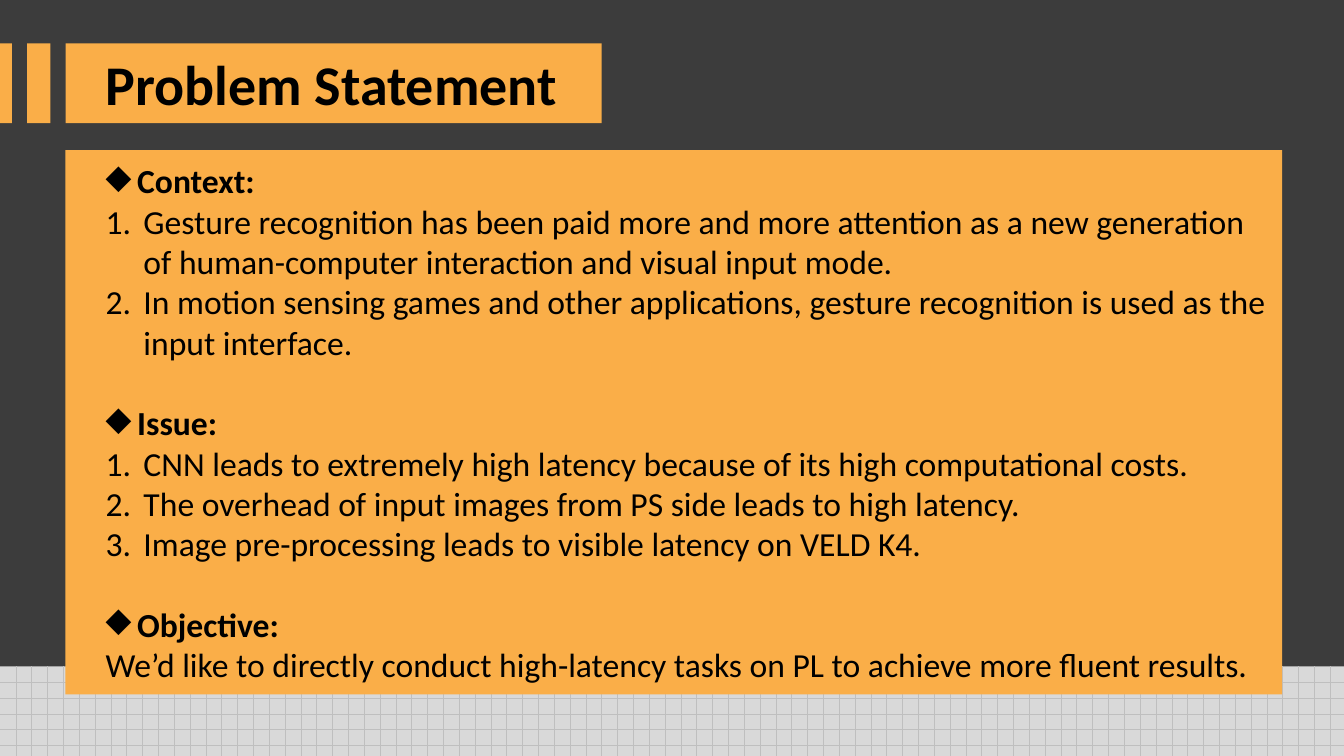
import pptx
import pptx.dml.color
import pptx.enum.dml
import pptx.enum.shapes
import pptx.enum.text
import pptx.oxml.ns
import pptx.util
from lxml import etree

Pt = pptx.util.Pt
RGBColor = pptx.dml.color.RGBColor

CHARCOAL = RGBColor(0x3C, 0x3C, 0x3C)
AMBER = RGBColor(0xFA, 0xAE, 0x48)
BLACK = RGBColor(0x00, 0x00, 0x00)
GRID_LINE = RGBColor(0xBF, 0xBF, 0xBF)
GRID_BASE = RGBColor(0xD9, 0xD9, 0xD9)

FONT = "Calibri"
BODY_SIZE = 24
SECTION_GAP = 28.8
HEADING_INDENT = 22.5
ITEM_INDENT = 27

SECTIONS = [
    ("Context:", True, [
        "Gesture recognition has been paid more and more attention as a new generation "
        "of human-computer interaction and visual input mode.",
        "In motion sensing games and other applications, gesture recognition is used as "
        "the input interface.",
    ]),
    ("Issue:", True, [
        "CNN leads to extremely high latency because of its high computational costs.",
        "The overhead of input images from PS side leads to high latency.",
        "Image pre-processing leads to visible latency on VELD K4.",
    ]),
    ("Objective:", False, [
        "We’d like to directly conduct high-latency tasks on PL to achieve more fluent results.",
    ]),
]


def add_panel(page, left, top, width, height):
    panel = page.shapes.add_shape(
        pptx.enum.shapes.MSO_SHAPE.RECTANGLE, Pt(left), Pt(top), Pt(width), Pt(height))
    panel.shadow.inherit = False
    panel.fill.solid()
    panel.fill.fore_color.rgb = AMBER
    panel.line.fill.background()
    return panel


def add_span(para, text, size, bold):
    span = para.add_run()
    span.text = text
    span.font.name = FONT
    span.font.size = Pt(size)
    span.font.bold = bold
    span.font.color.rgb = BLACK


def set_bullet(para, indent, tag, **attributes):
    properties = para._p.get_or_add_pPr()
    properties.set("marL", str(Pt(indent)))
    properties.set("indent", str(-Pt(indent)))
    etree.SubElement(properties, pptx.oxml.ns.qn(tag), **attributes)


def add_title_band(page, left, top, width, height):
    gap = 10.8
    stripe_width = 16.6
    stripe_left = left - gap - stripe_width
    add_panel(page, 0, top, stripe_left - gap, height)
    add_panel(page, stripe_left, top, stripe_width, height)
    band = add_panel(page, left, top, width, height)

    title = page.shapes.title
    band.element.addnext(title.element)
    title.left, title.top = Pt(left + 21.6), Pt(top + 0.7)
    title.width, title.height = Pt(width - 43.2), Pt(height - 1.4)
    frame = title.text_frame
    frame.word_wrap = False
    frame.auto_size = pptx.enum.text.MSO_AUTO_SIZE.SHAPE_TO_FIT_TEXT
    frame.vertical_anchor = pptx.enum.text.MSO_ANCHOR.TOP
    para = frame.paragraphs[0]
    para.alignment = pptx.enum.text.PP_ALIGN.LEFT
    add_span(para, "Problem Statement", 40, True)


def add_grid_floor(page, left, top, width, height):
    floor = add_panel(page, left, top, width, height)
    floor.fill.patterned()
    floor.fill.pattern = pptx.enum.dml.MSO_PATTERN.DOTTED_GRID
    floor.fill.fore_color.rgb = GRID_LINE
    floor.fill.back_color.rgb = GRID_BASE


def add_statement(page, left, top, width, height):
    add_panel(page, left, top, width, height)
    box = page.shapes.add_textbox(
        Pt(left + 21.6), Pt(top + 3.6), Pt(width - 23.8), Pt(height - 3.6))
    frame = box.text_frame
    frame.word_wrap = True
    frame.auto_size = pptx.enum.text.MSO_AUTO_SIZE.SHAPE_TO_FIT_TEXT
    for index, (heading, numbered, items) in enumerate(SECTIONS):
        para = frame.add_paragraph() if index else frame.paragraphs[0]
        if index:
            para.space_before = Pt(SECTION_GAP)
        set_bullet(para, HEADING_INDENT, "a:buChar", char="◆")
        add_span(para, heading, BODY_SIZE, True)
        for item in items:
            para = frame.add_paragraph()
            if numbered:
                set_bullet(para, ITEM_INDENT, "a:buAutoNum", type="arabicPeriod")
            add_span(para, item, BODY_SIZE, False)


def build_statement_page(deck):
    page = deck.slides.add_slide(deck.slide_layouts[5])
    page.background.fill.solid()
    page.background.fill.fore_color.rgb = CHARCOAL
    add_title_band(page, 46.8, 31, 383, 56.9)
    add_grid_floor(page, 0, 476, 960, 64)
    add_statement(page, 46.8, 107.3, 869, 388.8)


def main():
    deck = pptx.Presentation()
    deck.slide_width, deck.slide_height = Pt(960), Pt(540)
    build_statement_page(deck)
    deck.save("out.pptx")


if __name__ == "__main__":
    main()
